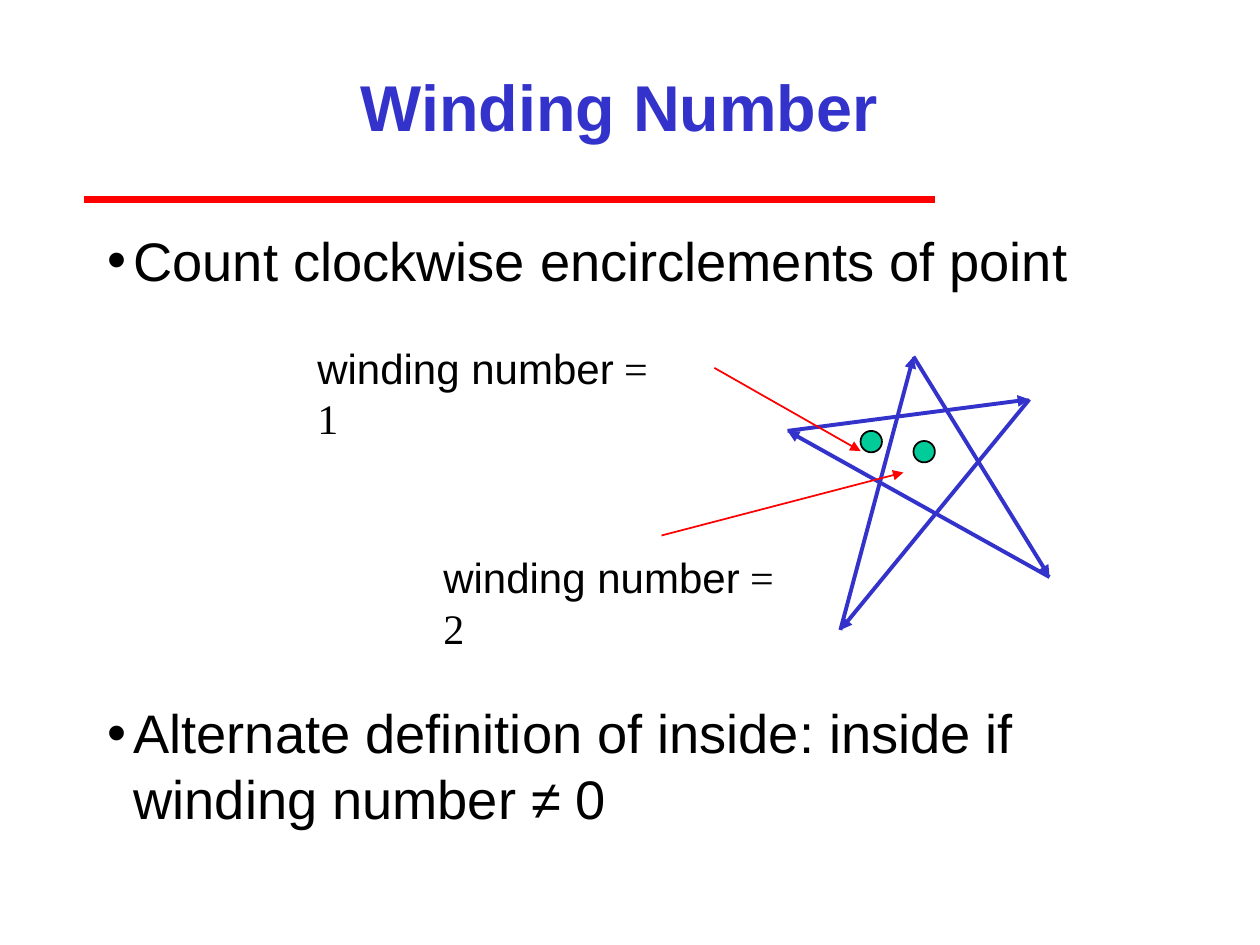
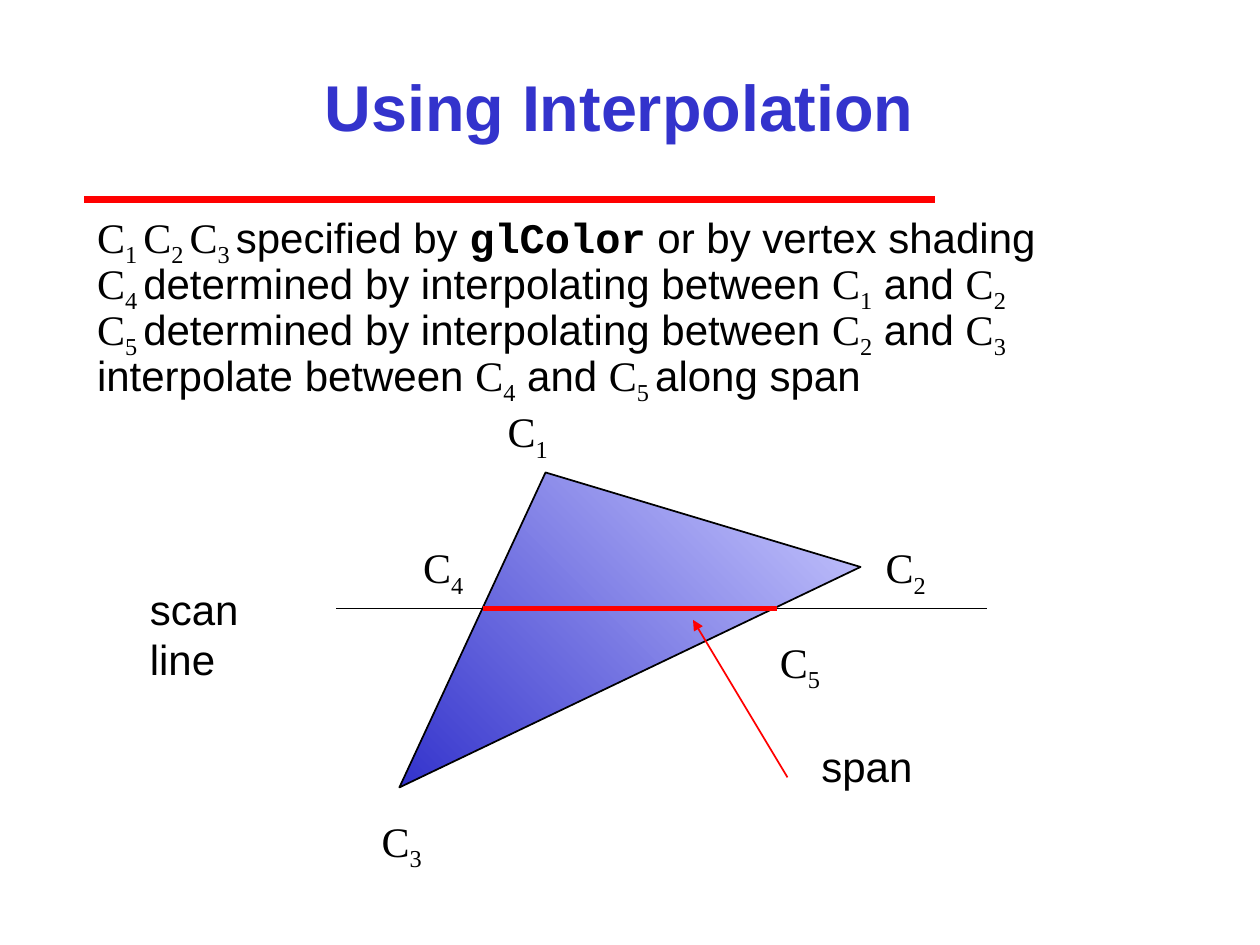
from itertools import pairwise

from lxml import etree
from pptx import Presentation
from pptx.dml.color import RGBColor
from pptx.enum import shapes, text
from pptx.oxml.ns import qn
from pptx.util import Inches, Pt

# Shared look
BLUE, RED, BLACK, GREEN, PALE = "3333CC", "FF0000", "000000", "00CC99", "CCCCFF"
SANS, SERIF, MONO = "Arial", "Times New Roman", "Courier New"
TITLE_BOX = (1.5, 0.25, 6.83, 1.17)
RULE = ((0.67, 1.58), (7.42, 1.58))
HANG = 0.21


# Runs are (text, font, is_subscript)
def sans(words):
    return (words, SANS, False)


def vertex(index):
    return [("C", SERIF, False), (index, SERIF, True)]


# Content: winding number
WINDING_TITLE = "Winding Number"
WINDING_BODY = (0.75, 1.75, 8.5, 5.17)
WINDING_POINTS = [
    "Count clockwise encirclements of point",
    "Alternate definition of inside: inside if winding number ≠ 0",
]
DIAGRAM_GAP = 233  # points kept free between the two bullets
STAR = [(6.67, 5), (7.25, 2.83), (8.33, 4.58), (6.25, 3.42), (8.17, 3.17)]
DOT = 0.17
# value, label box, dot corner, arrow start, arrow end
ENCIRCLEMENTS = [
    (2, (3.42, 4.33, 3.07, 0.5), (7.25, 3.5), (5.25, 4.25), (7.17, 3.75)),
    (1, (2.42, 2.67, 3.07, 0.5), (6.83, 3.42), (5.67, 2.92), (6.83, 3.58)),
]

# Content: interpolation
INTERPOLATION_TITLE = "Using Interpolation"
INTERPOLATION_BODY = (0.67, 1.67, 8.58, 1.58)
BETWEEN = sans("determined by interpolating between ")
AND = sans(" and ")
INTERPOLATION_LINES = [
    [*vertex("1 "), *vertex("2 "), *vertex("3 "), sans("specified by "),
     ("glColor", MONO, False), sans(" or by vertex shading")],
    [*vertex("4 "), BETWEEN, *vertex("1"), AND, *vertex("2")],
    [*vertex("5 "), BETWEEN, *vertex("2"), AND, *vertex("3")],
    [sans("interpolate between "), *vertex("4"), AND, *vertex("5 "), sans("along span")],
]
TRIANGLE = [(3.17, 6.25), (4.33, 3.75), (6.83, 4.5)]
# start, end, colour, width, arrow
SCAN_LINES = [
    ((2.67, 4.83), (7.83, 4.83), BLACK, 1, False),
    ((3.83, 4.83), (6.17, 4.83), RED, 3, False),
    ((6.25, 6.17), (5.5, 4.92), RED, 1, True),
]
VERTEX_CORNERS = {"1": (3.93, 3.17), "2": (6.93, 4.25), "3": (2.93, 6.42),
                  "4": (3.26, 4.25), "5": (6.09, 5)}
WORD_LABELS = {"span": (6.42, 5.83, 0.92, 0.5), "scan line": (1.09, 4.58, 1.51, 0.5)}


def rgb(colour):
    return RGBColor.from_string(colour)


def place(part, box):
    part.left, part.top, part.width, part.height = map(Inches, box)


def outline(part, colour, width):
    part.line.color.rgb = rgb(colour)
    part.line.width = Pt(width)


def style(font, size, face=SANS, colour=BLACK, bold=False):
    font.size, font.name, font.bold = Pt(size), face, bold
    font.color.rgb = rgb(colour)


def add_line(slide, start, end, colour, width, arrow=False):
    line = slide.shapes.add_connector(
        shapes.MSO_CONNECTOR.STRAIGHT, *map(Inches, (*start, *end)))
    outline(line, colour, width)
    if arrow:
        etree.SubElement(line.line._get_or_add_ln(), qn("a:tailEnd"), type="triangle")
    etree.SubElement(line._element.spPr, qn("a:effectLst"))
    return line


def write_runs(paragraph, runs, size=24):
    for words, face, subscript in runs:
        run = paragraph.add_run()
        run.text = words
        style(run.font, size, face, bold=face == MONO)
        if subscript:
            run.font._element.set("baseline", "-25000")


def add_label(slide, box, runs):
    label = slide.shapes.add_textbox(*map(Inches, box))
    label.text_frame.word_wrap = False
    label.text_frame.auto_size = text.MSO_AUTO_SIZE.SHAPE_TO_FIT_TEXT
    write_runs(label.text_frame.paragraphs[0], runs)


def set_hanging(paragraph, bullet):
    props = paragraph._p.get_or_add_pPr()
    props.set("marL", str(Inches(HANG)))
    props.set("indent", str(-Inches(HANG)))
    if bullet:
        etree.SubElement(props, qn("a:buFont"), typeface=SANS)
        etree.SubElement(props, qn("a:buChar"), char="•")
    else:
        etree.SubElement(props, qn("a:buNone"))


def add_slide(deck, title, body_box):
    slide = deck.slides.add_slide(deck.slide_layouts[1])
    heading, body = slide.placeholders
    place(heading, TITLE_BOX)
    heading.text_frame.text = title
    heading.text_frame.vertical_anchor = text.MSO_ANCHOR.MIDDLE
    paragraph = heading.text_frame.paragraphs[0]
    paragraph.alignment = text.PP_ALIGN.CENTER
    style(paragraph.runs[0].font, 37, colour=BLUE, bold=True)
    place(body, body_box)
    body.text_frame.auto_size = text.MSO_AUTO_SIZE.NONE
    body.text_frame.vertical_anchor = text.MSO_ANCHOR.TOP
    return slide, body.text_frame


def body_paragraphs(frame, lines, bullet):
    for number, line in enumerate(lines):
        paragraph = frame.add_paragraph() if number else frame.paragraphs[0]
        set_hanging(paragraph, bullet)
        paragraph.space_before = Pt(0)
        yield paragraph, line


def winding_slide(deck):
    slide, frame = add_slide(deck, WINDING_TITLE, WINDING_BODY)
    for paragraph, point in body_paragraphs(frame, WINDING_POINTS, True):
        write_runs(paragraph, [sans(point)], 31)
    paragraph.space_before = Pt(DIAGRAM_GAP)

    # Star drawn as a closed chain of arrows
    for start, end in pairwise(STAR + STAR[:1]):
        add_line(slide, start, end, BLUE, 2.25, arrow=True)

    # Sample points with their winding numbers
    for value, box, corner, start, end in ENCIRCLEMENTS:
        dot = slide.shapes.add_shape(
            shapes.MSO_SHAPE.OVAL, *map(Inches, (*corner, DOT, DOT)))
        dot.shadow.inherit = False
        dot.fill.solid()
        dot.fill.fore_color.rgb = rgb(GREEN)
        outline(dot, BLACK, 1)
        add_line(slide, start, end, RED, 1, arrow=True)
        add_label(slide, box, [sans("winding number"), (f" = {value}", SERIF, False)])
    return slide


def interpolation_slide(deck):
    slide, frame = add_slide(deck, INTERPOLATION_TITLE, INTERPOLATION_BODY)
    for paragraph, runs in body_paragraphs(frame, INTERPOLATION_LINES, False):
        paragraph.line_spacing = 0.8
        write_runs(paragraph, runs)

    # Shaded triangle
    first, *others = [tuple(map(Inches, corner)) for corner in TRIANGLE]
    builder = slide.shapes.build_freeform(*first)
    builder.add_line_segments(others, close=True)
    triangle = builder.convert_to_shape()
    triangle.shadow.inherit = False
    triangle.fill.gradient()
    triangle.fill.gradient_angle = 225
    for stop, colour, position in zip(triangle.fill.gradient_stops, (PALE, BLUE), (0, 1)):
        stop.color.rgb, stop.position = rgb(colour), position
    outline(triangle, BLACK, 1)

    # Scan line, span and labels
    for line in SCAN_LINES:
        add_line(slide, *line)
    for index, corner in VERTEX_CORNERS.items():
        add_label(slide, (*corner, 0.52, 0.56), vertex(index))
    for words, box in WORD_LABELS.items():
        add_label(slide, box, [sans(words)])


def main():
    deck = Presentation()
    deck.slide_width, deck.slide_height = Inches(10), Inches(7.5)
    winding = winding_slide(deck)
    interpolation_slide(deck)
    # The rule under the title belongs to the layout both slides use
    rule = add_line(winding, *RULE, RED, 4)
    winding.slide_layout.shapes.element.append(rule._element)
    deck.save("out.pptx")


if __name__ == "__main__":
    main()
